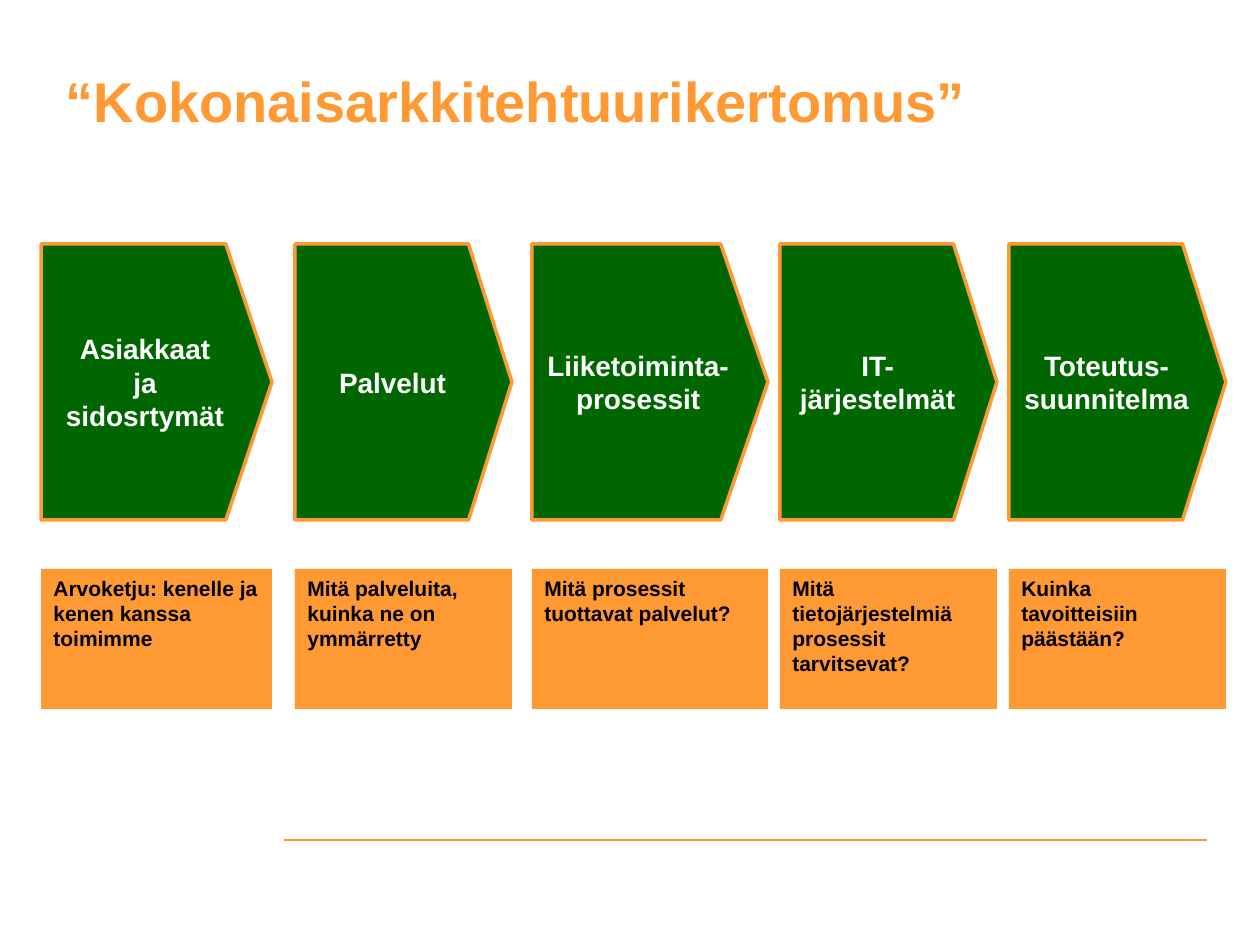
from dataclasses import dataclass

from lxml.etree import SubElement
from pptx import Presentation
from pptx.dml.color import RGBColor
from pptx.enum.shapes import MSO_CONNECTOR, MSO_SHAPE
from pptx.enum.text import MSO_ANCHOR, PP_ALIGN
from pptx.oxml.ns import qn
from pptx.util import Emu, Pt

ORANGE = "FF9933"
GREEN = "006600"
ARROW_TOP, ARROW_HEIGHT = 244, 276
NOTE_TOP, NOTE_HEIGHT = 569, 140


@dataclass
class Stage:
    left: int
    width: int
    name: str
    question: str


STAGES = [
    Stage(41, 231, "Asiakkaat\nja\nsidosrtymät",
          "Arvoketju: kenelle ja kenen kanssa toimimme"),
    Stage(295, 217, "Palvelut", "Mitä palveluita, kuinka ne on ymmärretty"),
    Stage(532, 236, "Liiketoiminta-\nprosessit",
          "Mitä prosessit tuottavat palvelut?"),
    Stage(780, 217, "IT-järjestelmät",
          "Mitä tietojärjestelmiä prosessit tarvitsevat?"),
    Stage(1009, 217, "Toteutus-\nsuunnitelma",
          "Kuinka tavoitteisiin päästään?"),
]


def px(n: int) -> Emu:
    return Emu(round(n * 914400 / 126))


def rgb(value: str) -> RGBColor:
    return RGBColor.from_string(value)


def write(tf, text: str, *, size: int, color: str,
          align=PP_ALIGN.LEFT, anchor=MSO_ANCHOR.MIDDLE) -> None:
    tf.word_wrap = True
    tf.vertical_anchor = anchor
    for i, line in enumerate(text.split("\n")):
        p = tf.paragraphs[0] if i == 0 else tf.add_paragraph()
        p.alignment = align
        r = p.add_run()
        r.text = line
        r.font.name = "Arial"
        r.font.size = Pt(size)
        r.font.bold = True
        r.font.color.rgb = rgb(color)


def add_box(s, kind, left: int, top: int, width: int, height: int, fill: str):
    sp = s.shapes.add_shape(kind, px(left), px(top), px(width), px(height))
    sp.shadow.inherit = False
    sp.fill.solid()
    sp.fill.fore_color.rgb = rgb(fill)
    sp.line.fill.background()
    return sp


def add_stage(s, stage: Stage) -> None:
    arrow = add_box(s, MSO_SHAPE.PENTAGON, stage.left, ARROW_TOP,
                    stage.width, ARROW_HEIGHT, GREEN)
    arrow.adjustments[0] = 0.2
    arrow.line.color.rgb = rgb(ORANGE)
    arrow.line.width = Pt(2)
    write(arrow.text_frame, stage.name, size=16, color="FFFFFF",
          align=PP_ALIGN.CENTER)
    note = add_box(s, MSO_SHAPE.RECTANGLE, stage.left, NOTE_TOP,
                   stage.width, NOTE_HEIGHT, ORANGE)
    write(note.text_frame, stage.question, size=12, color="000000",
          anchor=MSO_ANCHOR.TOP)


def add_rule(s, left: int, right: int, y: int) -> None:
    rule = s.shapes.add_connector(MSO_CONNECTOR.STRAIGHT,
                                  px(left), px(y), px(right), px(y))
    rule.line.color.rgb = rgb(ORANGE)
    rule.line.width = Pt(1.5)
    SubElement(rule.line._get_or_add_ln().getparent(), qn("a:effectLst"))


def main() -> None:
    prs = Presentation()
    prs.slide_width, prs.slide_height = px(1260), px(945)
    s = prs.slides.add_slide(prs.slide_layouts[5])
    add_rule(s, 284, 1207, 840)
    title = s.shapes.title
    title.left, title.top = px(53), px(21)
    title.width, title.height = px(1071), px(158)
    write(title.text_frame, "“Kokonaisarkkitehtuurikertomus”",
          size=32, color=ORANGE)
    for stage in STAGES:
        add_stage(s, stage)
    prs.save("out.pptx")


if __name__ == "__main__":
    main()
